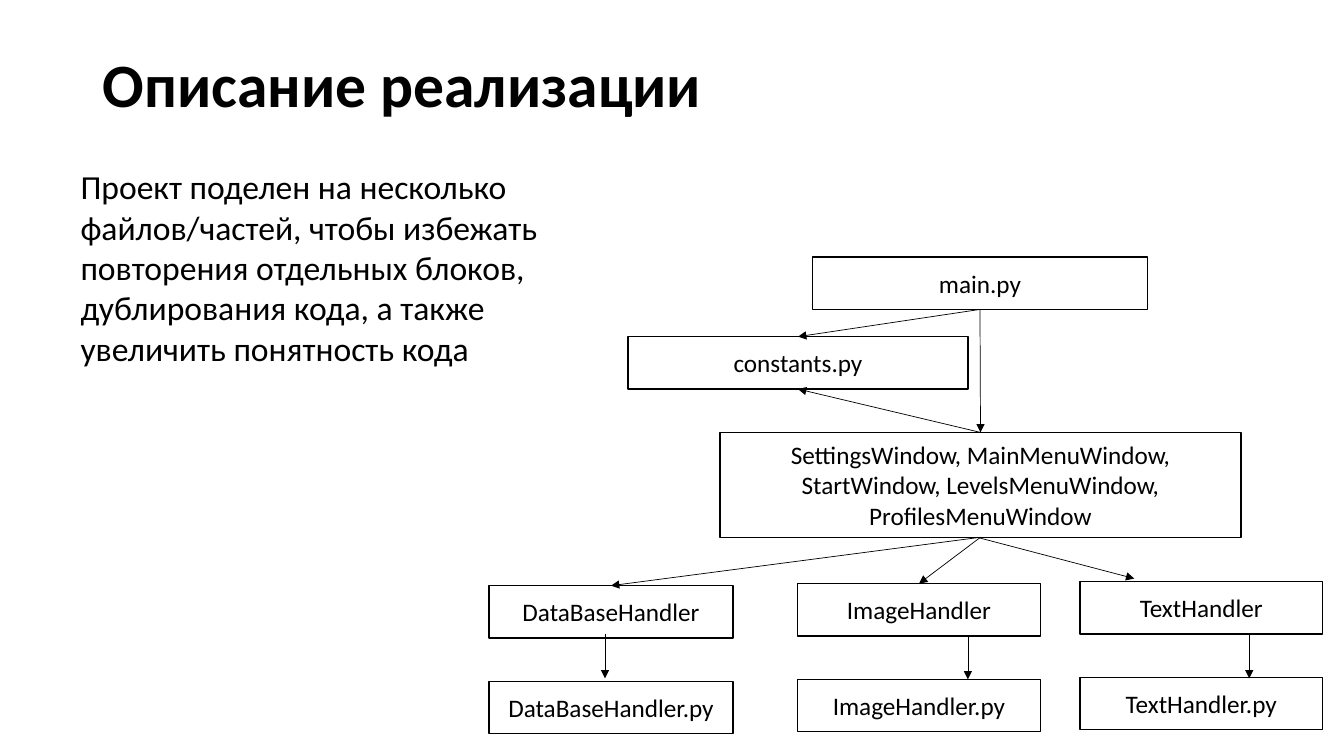
from lxml.etree import SubElement
from pptx import Presentation
from pptx.dml.color import RGBColor
from pptx.enum.shapes import MSO_CONNECTOR, MSO_SHAPE
from pptx.enum.text import MSO_ANCHOR, MSO_AUTO_SIZE, PP_ALIGN
from pptx.oxml.ns import qn
from pptx.util import Pt

PX = 9144
FONT = "Calibri"
BLACK, WHITE = "000000", "FFFFFF"
TOP, BOTTOM = 0, 2
ROW_HEIGHT, FILE_DROP, ARROW_LENGTH = 52, 95, 44

TITLE = "Описание реализации"
BODY = (
    "Проект поделен на несколько файлов/частей, чтобы избежать повторения "
    "отдельных блоков, дублирования кода, а также увеличить понятность кода"
)
WINDOWS = "SettingsWindow, MainMenuWindow, StartWindow, LevelsMenuWindow, ProfilesMenuWindow"
MODULES = {
    "main": ("main.py", 806, 255, 332, ROW_HEIGHT),
    "windows": (WINDOWS, 714, 429, 517, 104),
    "constants": ("constants.py", 623, 334, 337, ROW_HEIGHT),
}
HANDLERS = [
    ("DataBaseHandler", 485, 581, 242, (600, 629)),
    ("ImageHandler", 791, 579, 241, (960, 630)),
    ("TextHandler", 1071, 577, 241, (1239, 629)),
]
LINKS = [
    ("main", BOTTOM, "constants", TOP),
    ("main", BOTTOM, "windows", TOP),
    ("windows", TOP, "constants", BOTTOM),
    ("windows", BOTTOM, "DataBaseHandler", TOP),
    ("windows", BOTTOM, "ImageHandler", TOP),
]
TEXT_HANDLER_ARROW = (969, 533, 1125, 574)


def color(value):
    """Turn a hex string into a colour."""
    return RGBColor.from_string(value)


def scale(*lengths):
    """Turn pixel lengths into EMU."""
    return [length * PX for length in lengths]


def write(shape, text, size, bold=False, align=PP_ALIGN.LEFT,
          anchor=MSO_ANCHOR.MIDDLE, spacing=None):
    """Fill a shape with one formatted paragraph."""
    frame = shape.text_frame
    frame.word_wrap = True
    frame.vertical_anchor = anchor
    para = frame.paragraphs[0]
    para.alignment = align
    para.line_spacing = spacing
    span = para.add_run()
    span.text = text
    span.font.name = FONT
    span.font.size = Pt(size)
    span.font.bold = bold
    span.font.color.rgb = color(BLACK)


def add_box(page, text, *place):
    """Add an outlined box with a centred label."""
    box = page.shapes.add_shape(MSO_SHAPE.RECTANGLE, *scale(*place))
    box.shadow.inherit = False
    box.fill.solid()
    box.fill.fore_color.rgb = color(WHITE)
    box.line.color.rgb = color(BLACK)
    box.line.width = Pt(1)
    write(box, text, 18, align=PP_ALIGN.CENTER)
    return box


def add_arrow(page, *ends):
    """Add a thin straight arrow."""
    arrow = page.shapes.add_connector(MSO_CONNECTOR.STRAIGHT, *scale(*ends))
    arrow.line.color.rgb = color(BLACK)
    arrow.line.width = Pt(0.5)
    SubElement(arrow.line._get_or_add_ln(), qn("a:tailEnd"), type="triangle")
    SubElement(arrow._element.spPr, qn("a:effectLst"))
    return arrow


def main():
    """Build the slide and save it."""
    deck = Presentation()
    deck.slide_width, deck.slide_height = scale(1333, 750)
    page = deck.slides.add_slide(deck.slide_layouts[5])

    title = page.shapes.title
    title.left, title.top, title.width, title.height = scale(92, 40, 1150, 93)
    write(title, TITLE, 44, bold=True, spacing=0.9)

    body = page.shapes.add_textbox(*scale(70, 160, 531, 212))
    write(body, BODY, 24, anchor=MSO_ANCHOR.TOP)
    body.text_frame.auto_size = MSO_AUTO_SIZE.SHAPE_TO_FIT_TEXT

    boxes = {name: add_box(page, *module) for name, module in MODULES.items()}
    for name, left, top, width, (x, y) in HANDLERS:
        boxes[name] = add_box(page, name, left, top, width, ROW_HEIGHT)
        add_box(page, f"{name}.py", left, top + FILE_DROP, width, ROW_HEIGHT)
        add_arrow(page, x, y, x, y + ARROW_LENGTH)

    for source, source_side, target, target_side in LINKS:
        arrow = add_arrow(page, 0, 0, 0, 0)
        arrow.begin_connect(boxes[source], source_side)
        arrow.end_connect(boxes[target], target_side)
    add_arrow(page, *TEXT_HANDLER_ARROW)

    deck.save("out.pptx")


if __name__ == "__main__":
    main()
